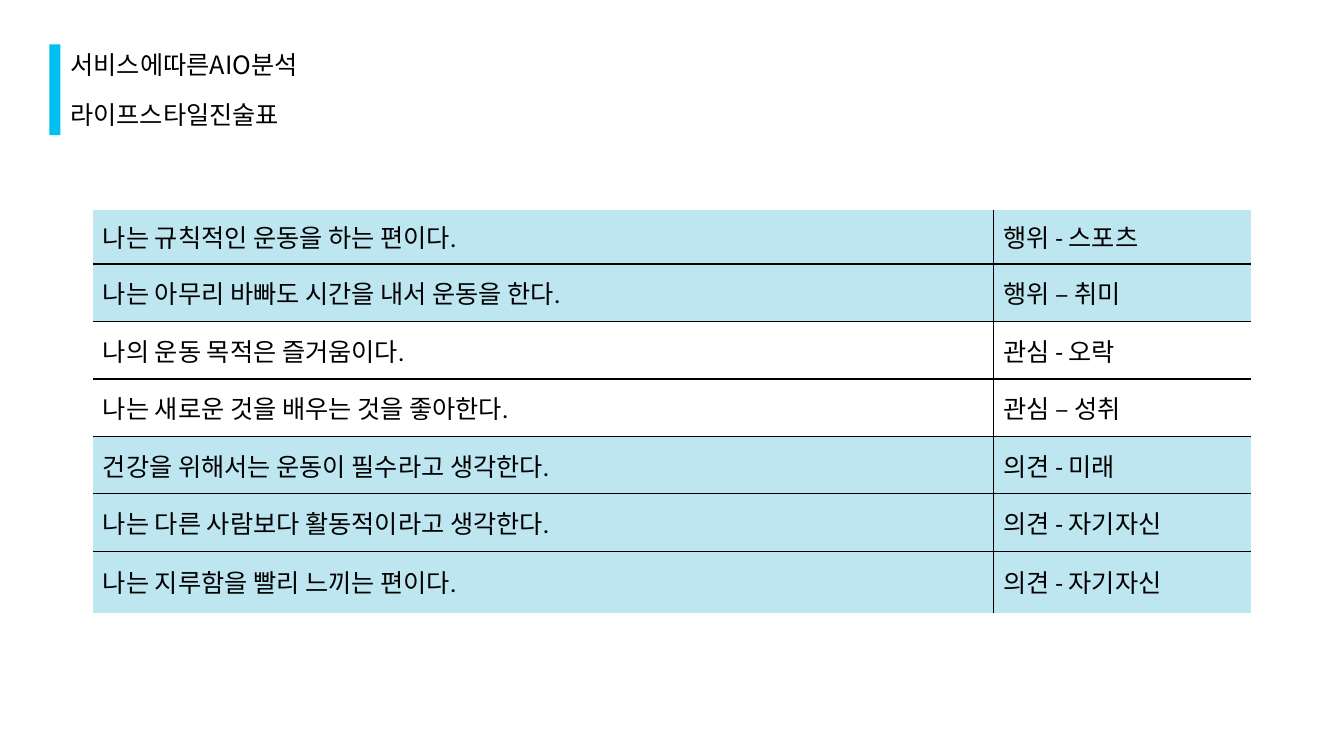
from lxml import etree
from pptx import Presentation
from pptx import util as u
from pptx.dml import color as dml
from pptx.enum import shapes, text
from pptx.oxml import ns

PX = 9144
BLACK, WHITE, CYAN, PALE = "000000", "FFFFFF", "00BFF1", "BEE6F0"
STATEMENTS = [
    ("나는 규칙적인 운동을 하는 편이다.", "행위 - 스포츠", PALE),
    ("나는 아무리 바빠도 시간을 내서 운동을 한다.", "행위 – 취미", PALE),
    ("나의 운동 목적은 즐거움이다.", "관심 - 오락", WHITE),
    ("나는 새로운 것을 배우는 것을 좋아한다.", "관심 – 성취", WHITE),
    ("건강을 위해서는 운동이 필수라고 생각한다.", "의견 - 미래", PALE),
    ("나는 다른 사람보다 활동적이라고 생각한다.", "의견 - 자기자신", PALE),
    ("나는 지루함을 빨리 느끼는 편이다.", "의견 - 자기자신", PALE),
]


def px(length):
    return u.Emu(length * PX)


def rgb(value):
    return dml.RGBColor.from_string(value)


def apply(target, values):
    for name, value in values.items():
        setattr(target, name, value)


class StatementSlide:
    heading_font = "Noto Sans CJK KR"
    table_font = "Calibri"
    text_format = {"size": u.Pt(18), "bold": False}

    def __init__(self, presentation):
        self.slide = presentation.slides.add_slide(presentation.slide_layouts[5])

    def fill_text(self, frame, content, font_name):
        frame.text = content
        paragraph = frame.paragraphs[0]
        font = paragraph.runs[0].font
        apply(font, {**self.text_format, "name": font_name})
        font.color.rgb = rgb(BLACK)
        return paragraph

    def heading(self, shape, content, box):
        apply(shape, dict(zip(("left", "top", "width", "height"), map(px, box))))
        frame = shape.text_frame
        paragraph = self.fill_text(frame, content, self.heading_font)
        apply(paragraph, {"alignment": text.PP_ALIGN.JUSTIFY, "line_spacing": 1.0,
                          "space_before": u.Pt(0)})
        apply(frame, {"word_wrap": True, "vertical_anchor": text.MSO_ANCHOR.TOP,
                      "auto_size": text.MSO_AUTO_SIZE.SHAPE_TO_FIT_TEXT})
        properties = paragraph.runs[0].font._element
        etree.SubElement(properties, ns.qn("a:ea"), typeface=self.heading_font)

    def title(self, content, box):
        self.heading(self.slide.shapes.title, content, box)

    def subtitle(self, content, box):
        self.heading(self.slide.shapes.add_textbox(*map(px, box)), content, box)

    def bar(self, box, fill):
        shape = self.slide.shapes.add_shape(shapes.MSO_SHAPE.RECTANGLE, *map(px, box))
        shape.shadow.inherit = False
        shape.fill.solid()
        shape.fill.fore_color.rgb = rgb(fill)
        shape.line.fill.background()

    def borders(self, cell, visible):
        properties = cell._tc.get_or_add_tcPr()
        for index, side in enumerate("LRTB"):
            line = etree.Element(ns.qn(f"a:ln{side}"), w=str(u.Pt(1)))
            if side in visible:
                fill = etree.SubElement(line, ns.qn("a:solidFill"))
                etree.SubElement(fill, ns.qn("a:srgbClr"), val=BLACK)
            else:
                etree.SubElement(line, ns.qn("a:noFill"))
            properties.insert(index, line)

    def table(self, box, widths, heights, rows):
        table = self.slide.shapes.add_table(len(rows), len(widths), *map(px, box)).table
        apply(table, {"first_row": False, "horz_banding": False})
        for column, width in zip(table.columns, widths):
            column.width = px(width)
        for row_index, (*contents, fill) in enumerate(rows):
            table.rows[row_index].height = px(heights[row_index])
            horizontal = ("T" if row_index else "") + ("B" if row_index < len(rows) - 1 else "")
            for column_index, content in enumerate(contents):
                cell = table.cell(row_index, column_index)
                self.fill_text(cell.text_frame, content, self.table_font)
                cell.vertical_anchor = text.MSO_ANCHOR.MIDDLE
                cell.fill.solid()
                cell.fill.fore_color.rgb = rgb(fill)
                self.borders(cell, horizontal + "RL"[column_index])


def main():
    presentation = Presentation()
    apply(presentation, {"slide_width": u.Inches(13.33), "slide_height": u.Inches(7.5)})
    page = StatementSlide(presentation)
    page.table((92, 208, 1149, 400), (893, 256), [54] + [57] * 5 + [61], STATEMENTS)
    page.bar((49, 44, 11, 90), CYAN)
    page.title("서비스에따른AIO분석", (60, 44, 443, 40))
    page.subtitle("라이프스타일진술표", (60, 94, 355, 40))
    presentation.save("out.pptx")


if __name__ == "__main__":
    main()
